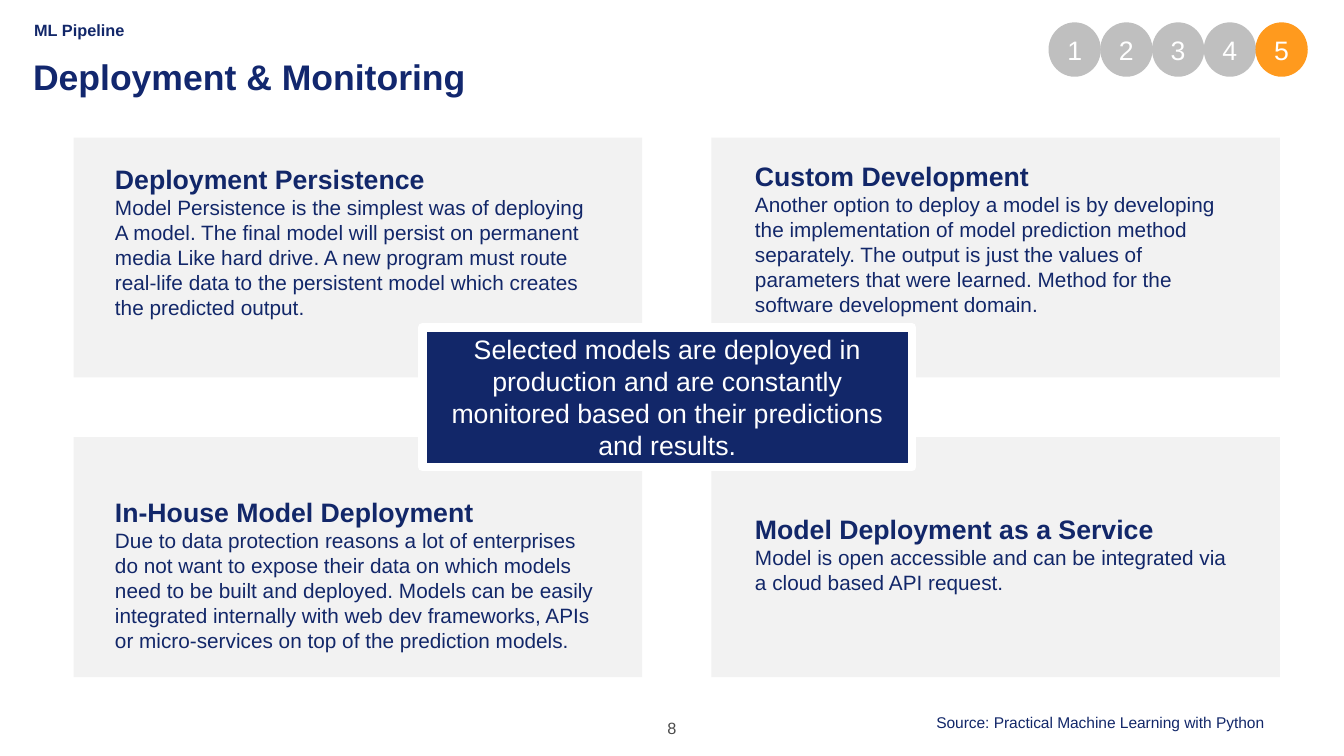
"""Build the Deployment & Monitoring slide of the ML pipeline deck."""
from dataclasses import dataclass

from pptx import Presentation
from pptx import util as u
from pptx.dml import color
from pptx.enum import shapes, text


@dataclass(frozen=True)
class Theme:
    font: str = "Arial"
    navy: str = "122769"
    title: str = "12276E"
    white: str = "FFFFFF"
    panel: str = "F2F2F2"
    gray: str = "BFBFBF"
    orange: str = "FF9A1E"
    page: str = "4B4B4B"
    large: float = 24
    head: float = 18
    body: float = 14
    small: float = 11
    source: float = 10.5


T = Theme()
TOP, MID, LOW = text.MSO_ANCHOR.TOP, text.MSO_ANCHOR.MIDDLE, text.MSO_ANCHOR.BOTTOM
LEFT, MIDDLE = text.PP_ALIGN.LEFT, text.PP_ALIGN.CENTER
RECT, OVAL = shapes.MSO_SHAPE.RECTANGLE, shapes.MSO_SHAPE.OVAL

deck = Presentation()
deck.slide_width, deck.slide_height = u.Inches(12.6), u.Inches(7.09)
slide = deck.slides.add_slide(deck.slide_layouts[6])


def add_box(area, kind=None, fill=None):
    """Add a filled preset shape, or a text box when no kind is given."""
    place = [u.Inches(n) for n in area]
    if kind is None:
        return slide.shapes.add_textbox(*place)
    shape = slide.shapes.add_shape(kind, *place)
    shape.shadow.inherit = False
    shape.fill.solid()
    shape.fill.fore_color.rgb = color.RGBColor.from_string(fill)
    shape.line.fill.background()
    return shape


def write(shape, lines, ink, anchor=TOP, align=LEFT, flush=False, space=None, wrap=True):
    """Fill a shape with (wording, size, bold) paragraphs."""
    frame = shape.text_frame
    frame.word_wrap = wrap
    frame.vertical_anchor = anchor
    if flush:
        frame.margin_left = frame.margin_right = 0
        frame.margin_top = frame.margin_bottom = 0
    for i, (words, size, bold) in enumerate(lines):
        para = frame.add_paragraph() if i else frame.paragraphs[0]
        para.alignment = align
        para.line_spacing = space
        run = para.add_run()
        run.text = words
        run.font.name = T.font
        run.font.size = u.Pt(size)
        run.font.bold = bold
        run.font.color.rgb = color.RGBColor.from_string(ink)


write(add_box((5.85, 6.73, 0.9, 0.19)), [("8", T.small, False)],
      T.page, LOW, MIDDLE, flush=True)

for top in (1.29, 4.1):
    for left in (0.69, 6.67):
        add_box((left, top, 5.33, 2.25), RECT, T.panel)

write(add_box((0.32, 0, 11.97, 0.37)), [("ML Pipeline", T.small, True)],
      T.navy, LOW, flush=True, space=1.04)
write(add_box((0.31, 0.56, 11.97, 0.73)), [("Deployment & Monitoring", T.large, True)],
      T.title, flush=True, space=0.9)

banner = add_box((3.96, 3.07, 4.59, 1.31), RECT, T.navy)
banner.line.color.rgb = color.RGBColor.from_string(T.white)
banner.line.width = u.Pt(6)
write(banner, [("Selected models are deployed in production and are constantly "
                "monitored based on their predictions and results.", T.head, False)],
      T.white, align=MIDDLE)

topics = [
    (0.98, 1.48, 1.58, "Deployment Persistence", [
        "Model Persistence is the simplest was of deploying",
        "A model. The final model will persist on permanent media Like hard drive. "
        "A new program must route real-life data to the persistent model which "
        "creates the predicted output."]),
    (6.98, 1.45, 1.58, "Custom Development", [
        "Another option to deploy a model is by developing the implementation of "
        "model prediction method separately. The output is just the values of "
        "parameters that were learned. Method for the software development domain."]),
    (0.98, 4.6, 1.58, "In-House Model Deployment", [
        "Due to data protection reasons a lot of enterprises do not want to expose "
        "their data on which models need to be built and deployed. Models can be "
        "easily integrated internally with web dev frameworks, APIs or "
        "micro-services on top of the prediction models."]),
    (6.98, 4.76, 0.88, "Model Deployment as a Service", [
        "Model is open accessible and can be integrated via a cloud based API "
        "request."]),
]
for left, top, high, head, body in topics:
    lines = [(head, T.head, True)] + [(words, T.body, False) for words in body]
    write(add_box((left, top, 4.7, high)), lines, T.navy)

for step in range(1, 6):
    fill = T.orange if step == 5 else T.gray
    dot = add_box((9.83 + 0.485 * (step - 1), 0.21, 0.49, 0.51), OVAL, fill)
    write(dot, [(str(step), T.head, False)], T.white, MID, MIDDLE)

write(add_box((8.68, 6.64, 3.34, 0.28)),
      [("Source: Practical Machine Learning with Python", T.source, False)],
      T.navy, wrap=False)

deck.save("out.pptx")
